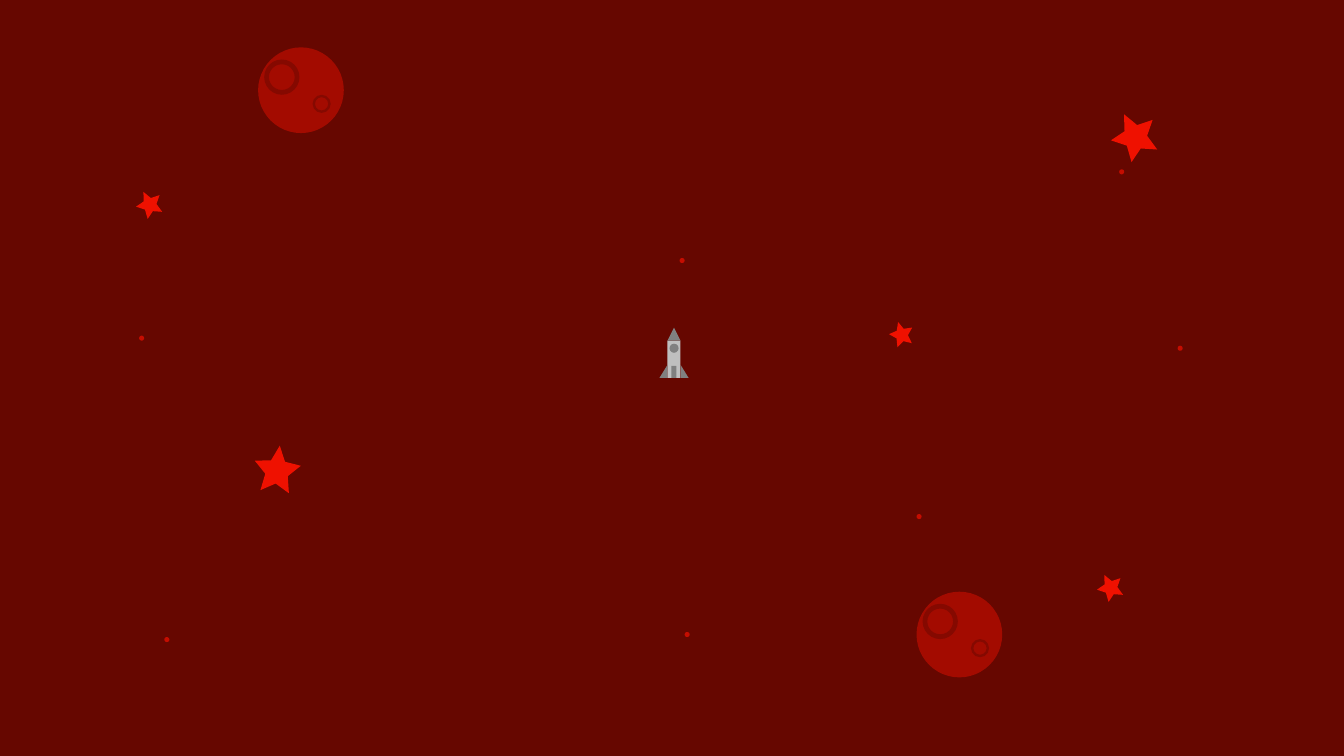
from dataclasses import dataclass

from pptx import Presentation
from pptx import util as u
from pptx.dml.color import RGBColor
from pptx.enum import shapes

COLOURS = {
    "sky": "660700",
    "moon": "A30B00",
    "crater": "850900",
    "dot": "C50D00",
    "star": "EF1100",
    "hull": "BFBFBF",
    "trim": "808080",
}
KIND = shapes.MSO_SHAPE
SLIDE_WIDTH, SLIDE_HEIGHT = 13.33, 7.5


@dataclass(frozen=True)
class Figure:
    kind: shapes.MSO_SHAPE
    left: float
    top: float
    width: float
    height: float
    colour: str
    rotation: float = 0
    adjustment: float | None = None


def draw_figure(slide, figure: Figure) -> None:
    shape = slide.shapes.add_shape(
        figure.kind,
        u.Inches(figure.left),
        u.Inches(figure.top),
        u.Inches(figure.width),
        u.Inches(figure.height),
    )
    shape.shadow.inherit = False
    shape.fill.solid()
    shape.fill.fore_color.rgb = RGBColor.from_string(COLOURS[figure.colour])
    shape.line.fill.background()
    shape.rotation = figure.rotation
    if figure.adjustment is not None:
        shape.adjustments[0] = figure.adjustment


MOON_CORNERS = [(2.56, 0.47), (9.09, 5.87)]
CRATERS = [(0.06, 0.12, 0.35), (0.54, 0.47, 0.18)]
DOT_CORNERS = [
    (6.74, 2.56), (9.09, 5.1), (1.63, 6.32), (11.1, 1.68),
    (1.38, 3.33), (6.79, 6.27), (11.68, 3.43),
]
STAR_PLACES = [
    (8.82, 3.19, 0.24, 344.2),
    (2.52, 4.42, 0.46, 6.3),
    (11.02, 1.11, 0.46, 333.9),
    (10.88, 5.69, 0.26, 333.9),
    (1.35, 1.89, 0.26, 333.9),
]

sky = Figure(KIND.RECTANGLE, 0, 0, SLIDE_WIDTH, SLIDE_HEIGHT, "sky")
hull = Figure(KIND.RECTANGLE, 6.62, 3.38, 0.13, 0.37, "hull")
moons = [Figure(KIND.OVAL, left, top, 0.85, 0.85, "moon") for left, top in MOON_CORNERS]
dots = [Figure(KIND.OVAL, left, top, 0.05, 0.05, "dot") for left, top in DOT_CORNERS]
stars = [
    Figure(KIND.STAR_5_POINT, left, top, size, size, "star", rotation, 0.244)
    for left, top, size, rotation in STAR_PLACES
]
craters = [
    Figure(KIND.DONUT, left + across, top + down, size, size, "crater", 0, 0.135)
    for left, top in MOON_CORNERS
    for across, down, size in CRATERS
]
rocket_trim = [
    Figure(KIND.ISOSCELES_TRIANGLE, 6.62, 3.25, 0.13, 0.13, "trim"),
    Figure(KIND.ISOSCELES_TRIANGLE, 6.54, 3.62, 0.08, 0.13, "trim", 0, 1),
    Figure(KIND.OVAL, 6.64, 3.41, 0.09, 0.09, "trim"),
    Figure(KIND.RECTANGLE, 6.66, 3.63, 0.05, 0.12, "trim"),
    Figure(KIND.ISOSCELES_TRIANGLE, 6.75, 3.62, 0.08, 0.13, "trim", 0, 0),
]


def main() -> None:
    presentation = Presentation()
    presentation.slide_width = u.Inches(SLIDE_WIDTH)
    presentation.slide_height = u.Inches(SLIDE_HEIGHT)
    slide = presentation.slides.add_slide(presentation.slide_layouts[6])

    for figure in [sky, *moons, hull, *dots, *stars, *craters, *rocket_trim]:
        draw_figure(slide, figure)

    presentation.save("out.pptx")


if __name__ == "__main__":
    main()
